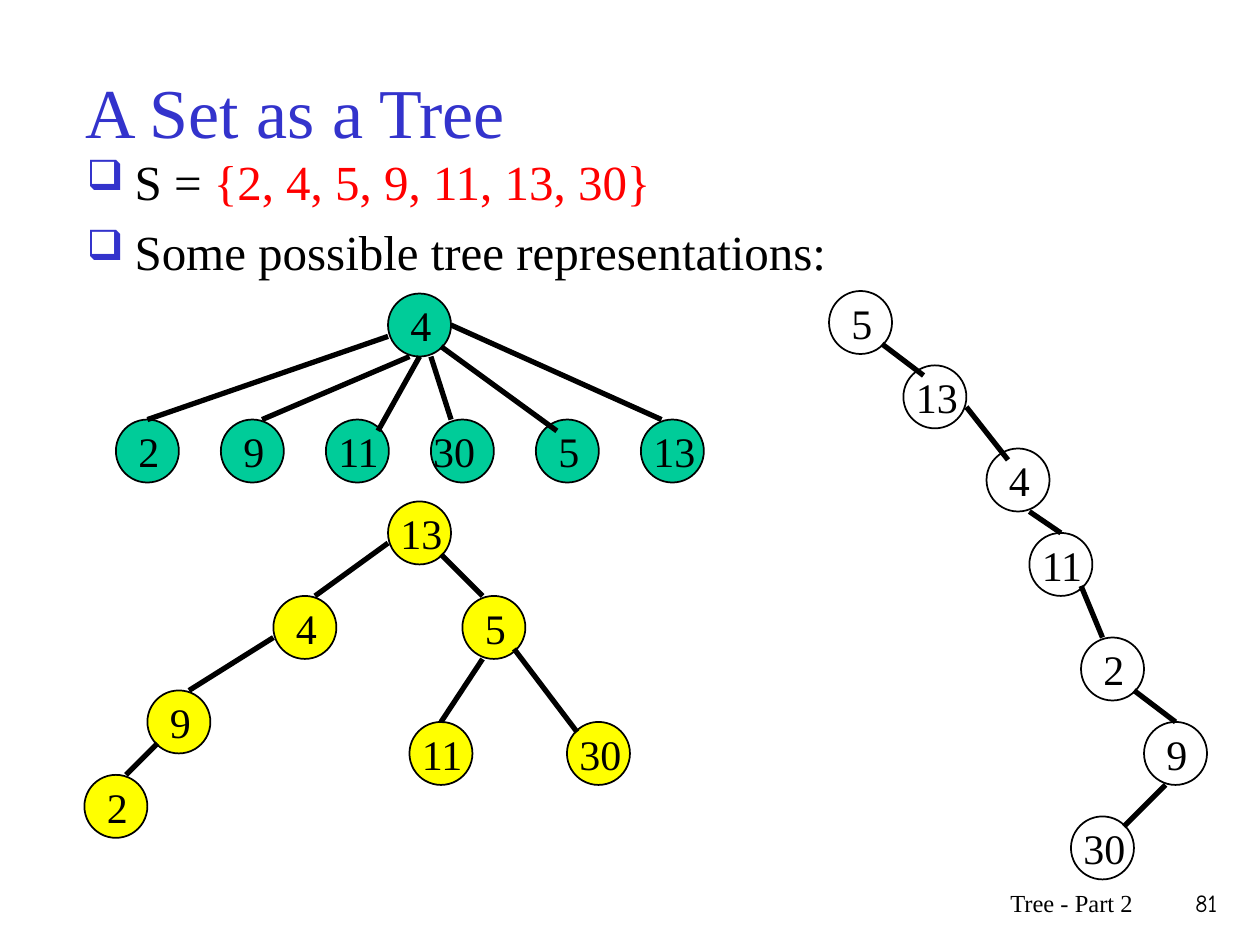
from lxml import etree
from pptx import Presentation
from pptx.dml.color import RGBColor
from pptx.enum.shapes import MSO_CONNECTOR as CONNECTOR, MSO_SHAPE as SHAPE
from pptx.enum.text import MSO_ANCHOR as ANCHOR, PP_ALIGN as ALIGN
from pptx.oxml.ns import qn
from pptx.util import Inches, Pt

BLACK, BLUE, RED = "000000", "3333CC", "FF0000"
NODE_SIZE = 0.5


def color(value):
    return RGBColor.from_string(value)


def add_text(paragraph, text, size=24, font="Times New Roman", fill=BLACK, align=ALIGN.LEFT):
    paragraph.alignment = align
    run = paragraph.add_run()
    run.text = text
    run.font.size = Pt(size)
    run.font.name = font
    run.font.color.rgb = color(fill)


presentation = Presentation()
presentation.slide_width = Inches(10)
presentation.slide_height = Inches(7.5)
slide = presentation.slides.add_slide(presentation.slide_layouts[5])

title = slide.shapes.title
title.left, title.top = Inches(0.58), Inches(0.25)
title.width, title.height = Inches(8.5), Inches(1.25)
title.text_frame.vertical_anchor = ANCHOR.MIDDLE
add_text(title.text_frame.paragraphs[0], "A Set as a Tree", size=40, fill=BLUE)

body = slide.shapes.add_textbox(Inches(0.59), Inches(1.15), Inches(8.5), Inches(1.34))
body.text_frame.word_wrap = True
bullets = [
    [("S = ", BLACK), ("{2, 4, 5, 9, 11, 13, 30}", RED)],
    [("Some possible tree representations:", BLACK)],
]
for index, runs in enumerate(bullets):
    paragraph = body.text_frame.add_paragraph() if index else body.text_frame.paragraphs[0]
    if index:
        paragraph.space_before = Pt(6.5)
    properties = paragraph._p.get_or_add_pPr()
    properties.set("marL", str(Inches(0.38)))
    properties.set("indent", str(-Inches(0.38)))
    bullet_color = etree.SubElement(properties, qn("a:buClr"))
    etree.SubElement(bullet_color, qn("a:srgbClr"), val=BLUE)
    etree.SubElement(properties, qn("a:buSzPct"), val="85000")
    etree.SubElement(properties, qn("a:buChar"), char="❑")
    for text, fill in runs:
        add_text(paragraph, text, size=28, fill=fill)

leaves = ["2", "9", "11", "30", "5", "13"]
trees = [
    {
        "fill": "00CC99",
        "nodes": [("4", 3.08, 2.33)]
        + [(label, 0.92 + index * 2.5 / 3, 3.33) for index, label in enumerate(leaves)],
        "edges": [
            (3.08, 2.67, 1.17, 3.33), (3.25, 2.83, 2.08, 3.33), (3.33, 2.83, 3, 3.42),
            (3.42, 2.83, 3.58, 3.33), (3.5, 2.75, 4.42, 3.42), (3.58, 2.58, 5.25, 3.33),
        ],
    },
    {
        "fill": "FFFF00",
        "nodes": [
            ("13", 3.08, 3.98), ("4", 2.17, 4.73), ("5", 3.67, 4.73), ("9", 1.17, 5.48),
            ("11", 3.25, 5.73), ("30", 4.5, 5.73), ("2", 0.67, 6.15),
        ],
        "edges": [
            (3.08, 4.31, 2.5, 4.73), (2.17, 5.06, 1.5, 5.48), (3.5, 4.4, 3.83, 4.73),
            (1.25, 5.9, 1, 6.15), (3.83, 5.23, 3.5, 5.73), (4.08, 5.15, 4.58, 5.81),
        ],
    },
    {
        "fill": "FFFFFF",
        "nodes": [
            ("5", 6.58, 2.31), ("13", 7.17, 2.9), ("4", 7.83, 3.56), ("11", 8.17, 4.23),
            ("2", 8.58, 5.06), ("9", 9.08, 5.73), ("30", 8.5, 6.48),
        ],
        "edges": [
            (7, 2.73, 7.33, 2.98), (7.67, 3.23, 8, 3.65), (8.17, 4.06, 8.42, 4.23),
            (8.58, 4.65, 8.75, 5.06), (9, 5.48, 9.33, 5.73), (9.25, 6.23, 8.92, 6.56),
        ],
    },
]
label_widths = {"11": 0.75, "13": 0.58, "30": 0.83}

for tree in trees:
    group = slide.shapes.add_group_shape()
    for label, left, top in tree["nodes"]:
        node = group.shapes.add_shape(
            SHAPE.OVAL, Inches(left), Inches(top), Inches(NODE_SIZE), Inches(NODE_SIZE)
        )
        node.shadow.inherit = False
        node.fill.solid()
        node.fill.fore_color.rgb = color(tree["fill"])
        node.line.color.rgb = color(BLACK)
        node.line.width = Pt(1)

        offset = 0.08 if len(label) == 1 else 0
        if label == "30" and tree is trees[0]:
            offset = -0.08
        label_box = group.shapes.add_textbox(
            Inches(left + offset), Inches(top),
            Inches(label_widths.get(label, 0.33)), Inches(NODE_SIZE),
        )
        label_box.text_frame.word_wrap = True
        add_text(label_box.text_frame.paragraphs[0], label)

    for edge in tree["edges"]:
        connector = group.shapes.add_connector(
            CONNECTOR.STRAIGHT, *[Inches(value) for value in edge]
        )
        connector.line.color.rgb = color(BLACK)
        connector.line.width = Pt(3)
        etree.SubElement(connector._element.spPr, qn("a:effectLst"))

footers = [
    ("Tree - Part 2", 5.92, 3.17, "Times New Roman"),
    ("81", 9.08, 0.68, "Comic Neue"),
]
for text, left, width, font in footers:
    footer = slide.shapes.add_textbox(Inches(left), Inches(7), Inches(width), Inches(0.5))
    footer.text_frame.word_wrap = True
    add_text(footer.text_frame.paragraphs[0], text, size=14, font=font, align=ALIGN.RIGHT)

presentation.save("out.pptx")
